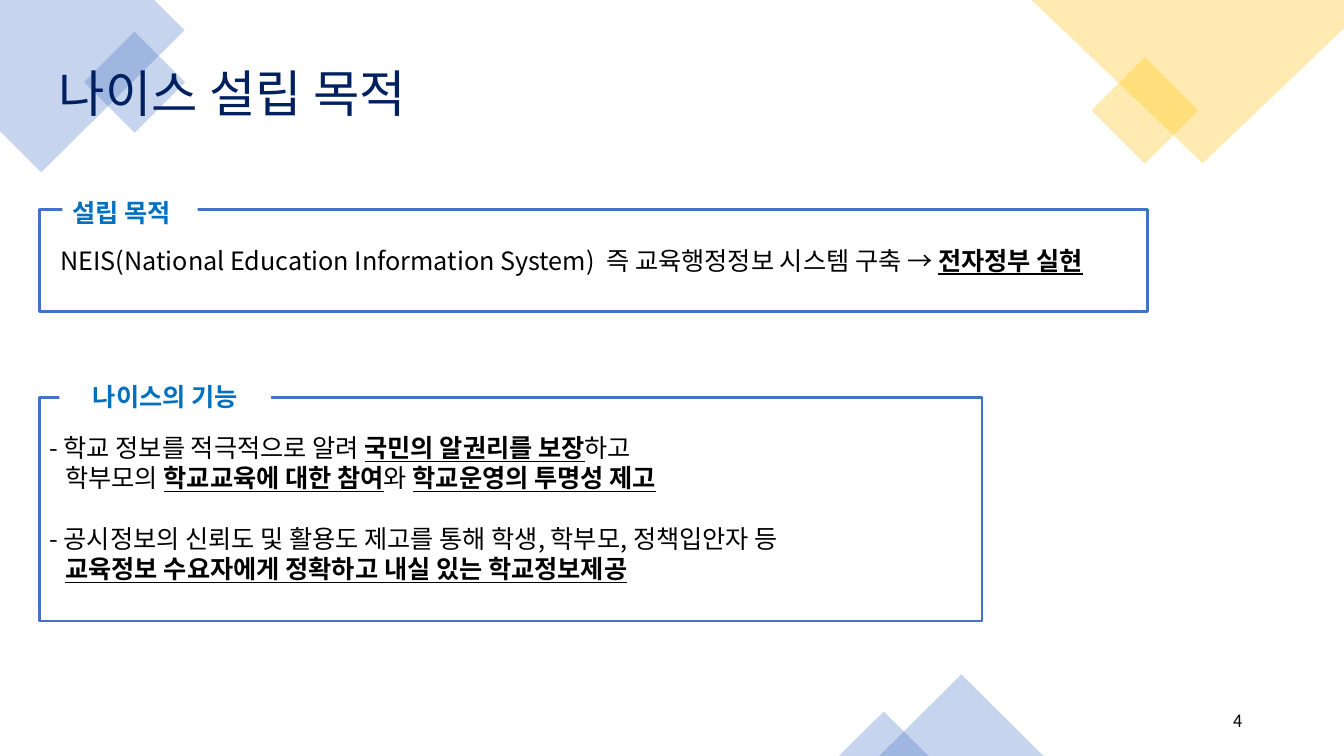
from lxml.etree import SubElement
from pptx import Presentation
from pptx.dml.color import RGBColor
from pptx.enum.shapes import MSO_SHAPE as Shape
from pptx.enum.text import MSO_ANCHOR as Anchor, PP_ALIGN as Align
from pptx.oxml.ns import qn
from pptx.util import Inches, Pt

FONT = "Noto Sans CJK KR"
COLORS = {
    "blue": "4472C4",
    "gold": "FFC000",
    "white": "FFFFFF",
    "black": "000000",
    "label": "0070C0",
    "title": "002060",
}


def add_text(paragraph, text, size=18, color="black", bold=False, underline=False):
    run = paragraph.add_run()
    run.text = text
    run.font.size = Pt(size)
    run.font.name = FONT
    run.font.bold = bold
    run.font.underline = underline
    run.font.color.rgb = RGBColor.from_string(COLORS[color])
    props = run._r.get_or_add_rPr()
    SubElement(props, qn("a:ea"), typeface=FONT)
    return props


def tint(shape, color):
    shape.shadow.inherit = False
    shape.fill.solid()
    shape.fill.fore_color.rgb = RGBColor.from_string(COLORS[color])
    shape.line.fill.background()
    hue = shape._element.spPr.find(qn("a:solidFill"))[0]
    SubElement(hue, qn("a:alpha"), val="30000")


prs = Presentation()
prs.slide_width = Inches(13.33)
prs.slide_height = Inches(7.5)
slide = prs.slides.add_slide(prs.slide_layouts[5])
shapes = slide.shapes

corners = [
    ("blue", [(0, 0), (1.53, 0), (1.83, 0.3), (0.41, 1.71), (0, 1.3)]),
    ("gold", [(10.23, 0), (13.33, 0), (13.33, 0.28), (11.93, 1.62)]),
]
for color, points in corners:
    (start_x, start_y), *others = [(Inches(x), Inches(y)) for x, y in points]
    outline = shapes.build_freeform(start_x, start_y)
    outline.add_line_segments(others, close=True)
    tint(outline.convert_to_shape(), color)

accents = [
    (Shape.RECTANGLE, "blue", 0.98, 0.46, 0.71, 0.71, 315),
    (Shape.RECTANGLE, "gold", 10.98, 0.72, 0.75, 0.75, 315),
    (Shape.ISOSCELES_TRIANGLE, "blue", 8.72, 6.69, 1.63, 0.81, 0),
    (Shape.ISOSCELES_TRIANGLE, "blue", 8.32, 7.06, 0.89, 0.44, 0),
]
for kind, color, left, top, width, height, angle in accents:
    accent = shapes.add_shape(kind, Inches(left), Inches(top), Inches(width), Inches(height))
    accent.rotation = angle
    tint(accent, color)

page = shapes.add_textbox(Inches(9.42), Inches(6.95), Inches(3), Inches(0.4)).text_frame
page.word_wrap = True
page.vertical_anchor = Anchor.MIDDLE
page.paragraphs[0].alignment = Align.RIGHT
add_text(page.paragraphs[0], "4", size=12)

PLAIN, STRONG = {}, {"bold": True, "underline": True}
sections = [
    {
        "frame": (0.39, 2.08, 10.99, 1.01),
        "label": ("설립 목적", 0.62, 1.88, 1.34, Align.LEFT, 0.06),
        "lines": [
            (0.11, 0, [
                ("NEIS(National Education Information System)  즉 교육행정정보 시스템 구축 → ", PLAIN),
                ("전자정부 실현", STRONG),
            ]),
        ],
    },
    {
        "frame": (0.39, 3.94, 9.35, 2.22),
        "label": ("나이스의 기능", 0.59, 3.73, 2.1, Align.CENTER, 0),
        "lines": [
            (0, 0, [
                ("- 학교 정보를 적극적으로 알려 ", PLAIN),
                ("국민의 알권리를 보장", STRONG),
                ("하고", PLAIN),
            ]),
            (0.16, 0, [
                ("학부모의 ", PLAIN),
                ("학교교육에 대한 참여", STRONG),
                ("와 ", PLAIN),
                ("학교운영의 투명성 제고", STRONG),
            ]),
            (0, 21.6, [("- 공시정보의 신뢰도 및 활용도 제고를 통해 학생, 학부모, 정책입안자 등", PLAIN)]),
            (0.16, 0, [("교육정보 수요자에게 정확하고 내실 있는 학교정보제공", STRONG)]),
        ],
    },
]
for section in sections:
    frame = shapes.add_shape(Shape.RECTANGLE, *map(Inches, section["frame"]))
    frame.shadow.inherit = False
    frame.fill.background()
    frame.line.color.rgb = RGBColor.from_string(COLORS["blue"])
    frame.line.width = Pt(2)
    body = frame.text_frame
    body.word_wrap = True
    body.vertical_anchor = Anchor.TOP
    body.margin_top = Inches(0.35)
    for number, (indent, gap, runs) in enumerate(section["lines"]):
        line = body.add_paragraph() if number else body.paragraphs[0]
        line.alignment = Align.LEFT
        line.space_before = Pt(gap)
        line._p.get_or_add_pPr().set("marL", str(Inches(indent)))
        for text, style in runs:
            add_text(line, text, **style)

    heading, left, top, width, alignment, drop = section["label"]
    label = shapes.add_shape(Shape.RECTANGLE, Inches(left), Inches(top), Inches(width), Inches(0.4))
    label.shadow.inherit = False
    label.fill.solid()
    label.fill.fore_color.rgb = RGBColor.from_string(COLORS["white"])
    label.line.fill.background()
    label.text_frame.word_wrap = True
    label.text_frame.vertical_anchor = Anchor.MIDDLE
    label.text_frame.margin_top = Inches(0.05 + drop)
    label.text_frame.paragraphs[0].alignment = alignment
    add_text(label.text_frame.paragraphs[0], heading, color="label", bold=True)

title = shapes.title
title.left, title.top, title.width, title.height = map(Inches, (0, 0.56, 4.61, 0.71))
title.text_frame.vertical_anchor = Anchor.MIDDLE
title.text_frame.paragraphs[0].alignment = Align.CENTER
title_props = add_text(title.text_frame.paragraphs[0], "나이스 설립 목적", size=36, color="title")
effects = title_props.makeelement(qn("a:effectLst"))
title_props.find(qn("a:solidFill")).addnext(effects)
shadow = SubElement(effects, qn("a:outerShdw"), blurRad="38100", dist="38100", dir="2700000")
shade = SubElement(shadow, qn("a:srgbClr"), val=COLORS["black"])
SubElement(shade, qn("a:alpha"), val="43000")
shapes._spTree.append(title._element)

prs.save("out.pptx")
